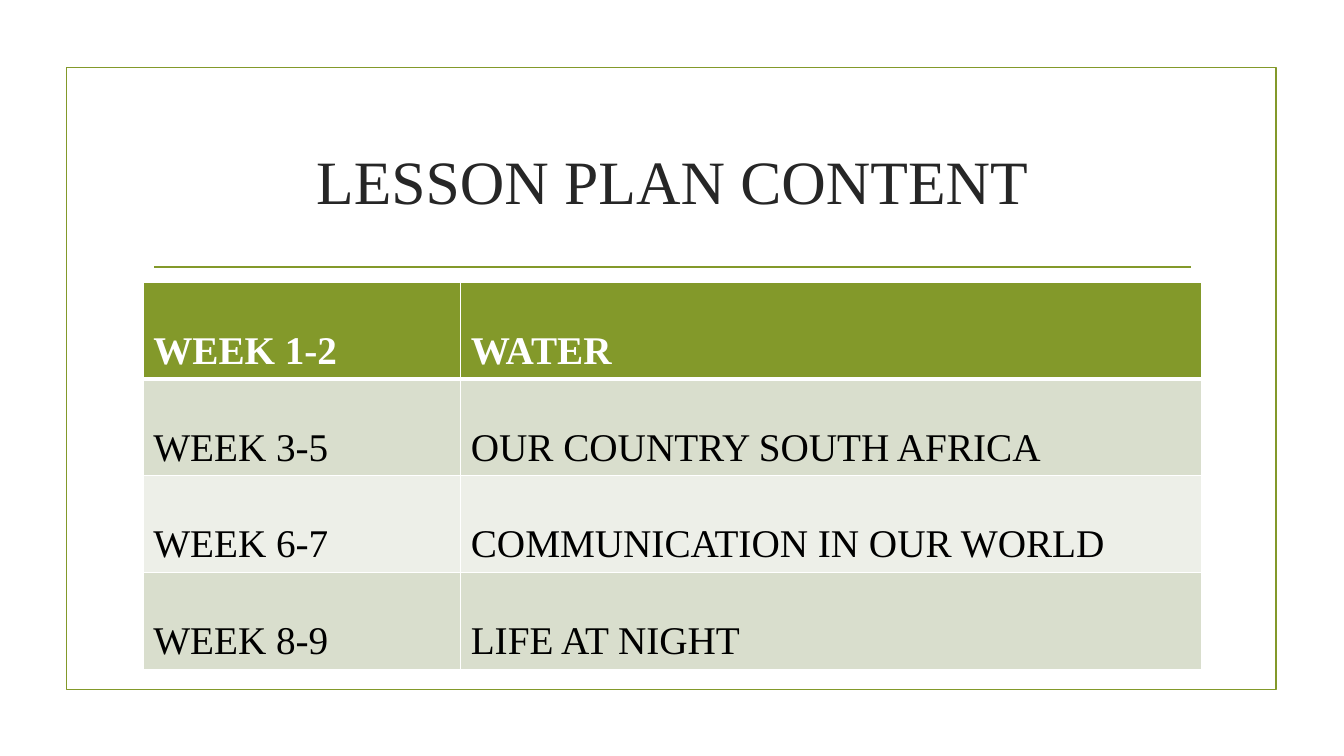
from lxml.etree import SubElement
from pptx import Presentation
from pptx.dml.color import RGBColor
from pptx.enum.shapes import MSO_CONNECTOR, MSO_SHAPE
from pptx.enum.text import MSO_ANCHOR, PP_ALIGN
from pptx.oxml.ns import qn
from pptx.util import Inches, Pt

COLORS = {
    "olive": "83992A",
    "title": "262626",
    "white": "FFFFFF",
    "black": "000000",
    "band_dark": "D9DECD",
    "band_light": "EDEFE8",
}
FONT = "Times New Roman"
LESSONS = [
    ("WEEK 1-2", "WATER"),
    ("WEEK 3-5", "OUR COUNTRY SOUTH AFRICA"),
    ("WEEK 6-7", "COMMUNICATION IN OUR WORLD"),
    ("WEEK 8-9", "LIFE AT NIGHT"),
]
WEEK_SHARE = 0.3


def rgb(name):
    return RGBColor.from_string(COLORS[name])


def style_font(paragraph, size, color, bold=False):
    font = paragraph.font
    font.name, font.size, font.bold = FONT, Pt(size), bold
    font.color.rgb = rgb(color)


def add_frame(slide, left, top, width, height):
    frame = slide.shapes.add_shape(
        MSO_SHAPE.RECTANGLE, *map(Inches, (left, top, width, height)))
    frame.shadow.inherit = False
    frame.fill.background()
    frame.line.color.rgb = rgb("olive")
    frame.line.width = Pt(1.25)


def add_heading(slide, left, top, width, height):
    heading = slide.shapes.add_textbox(*map(Inches, (left, top, width, height)))
    heading.text_frame.word_wrap = True
    heading.text_frame.vertical_anchor = MSO_ANCHOR.MIDDLE
    title = heading.text_frame.paragraphs[0]
    title.text = "LESSON PLAN CONTENT"
    title.alignment = PP_ALIGN.CENTER
    style_font(title, 44, "title")

    inset, rule_y = 0.11, top + height + 0.15
    rule = slide.shapes.add_connector(
        MSO_CONNECTOR.STRAIGHT,
        *map(Inches, (left + inset, rule_y, left + width - inset, rule_y)))
    rule.line.color.rgb = rgb("olive")
    rule.line.width = Pt(1.25)
    SubElement(rule._element.spPr, qn("a:effectLst"))


def set_borders(cell, top, bottom):
    properties = cell._tc.get_or_add_tcPr()
    for side, width in (("L", 1), ("R", 1), ("T", top), ("B", bottom)):
        border = SubElement(properties, qn(f"a:ln{side}"), w=str(Pt(width)))
        fill = SubElement(border, qn("a:solidFill"))
        SubElement(fill, qn("a:srgbClr"), val=COLORS["white"])


def add_lessons(slide, left, top, width, height):
    lessons = slide.shapes.add_table(
        len(LESSONS), 2, *map(Inches, (left, top, width, height))).table
    for column, share in zip(lessons.columns, (WEEK_SHARE, 1 - WEEK_SHARE)):
        column.width = Inches(width * share)
    for row, lesson in enumerate(LESSONS):
        header = row == 0
        band = "olive" if header else "band_dark" if row % 2 else "band_light"
        for column, wording in enumerate(lesson):
            cell = lessons.cell(row, column)
            set_borders(cell, 3 if row == 1 else 1, 3 if header else 1)
            cell.fill.solid()
            cell.fill.fore_color.rgb = rgb(band)
            entry = cell.text_frame.paragraphs[0]
            entry.text = wording
            entry.line_spacing = Pt(61)
            style_font(entry, 28, "white" if header else "black", header)


def main():
    presentation = Presentation()
    presentation.slide_width = Inches(13.33)
    presentation.slide_height = Inches(7.5)
    slide = presentation.slides.add_slide(presentation.slide_layouts[6])
    add_frame(slide, 0.66, 0.67, 12, 6.17)
    add_heading(slide, 1.42, 1.07, 10.5, 1.43)
    add_lessons(slide, 1.42, 2.8, 10.5, 3.84)
    presentation.save("out.pptx")


if __name__ == "__main__":
    main()
